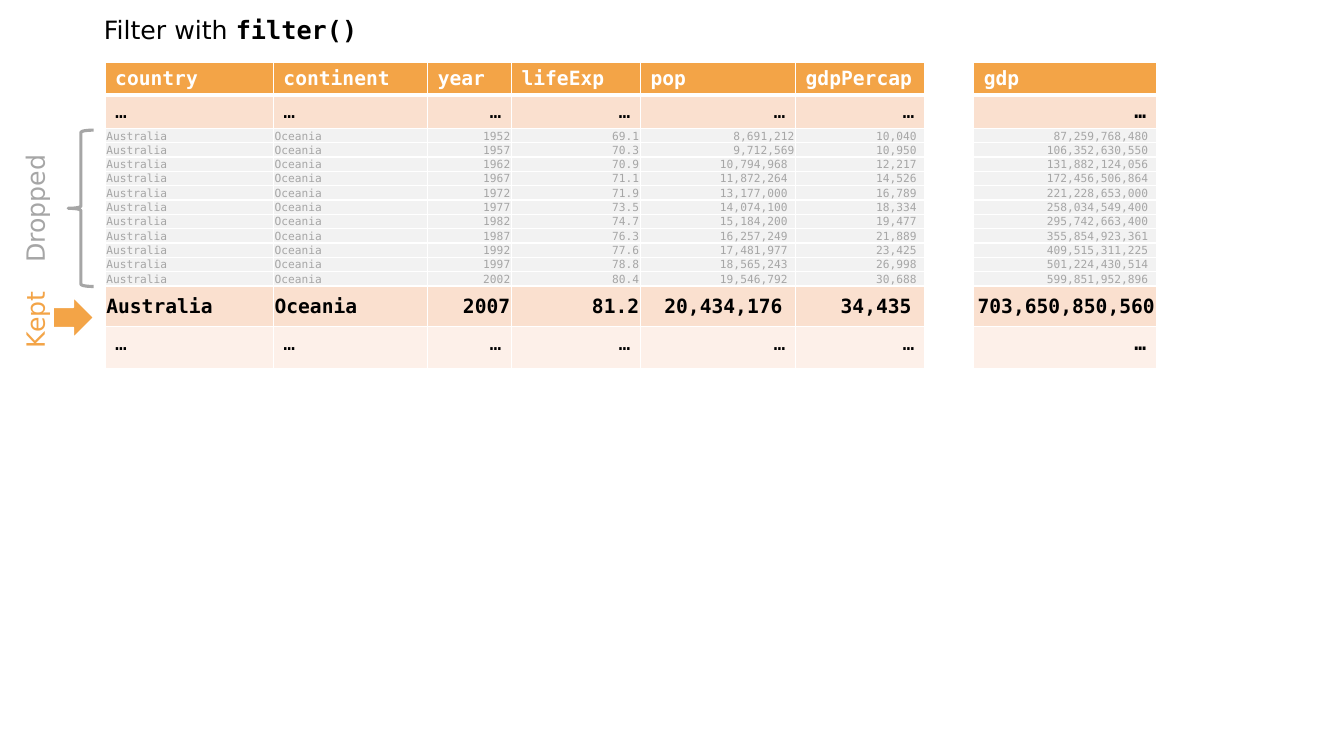
import pptx
import pptx.dml.color
import pptx.enum.shapes
import pptx.enum.text
import pptx.oxml
import pptx.oxml.ns
import pptx.util

Cm = pptx.util.Cm
Pt = pptx.util.Pt
SHAPE = pptx.enum.shapes.MSO_SHAPE
ALIGN = pptx.enum.text.PP_ALIGN
ANCHOR = pptx.enum.text.MSO_ANCHOR

SANS, MONO = "DejaVu Sans", "DejaVu Sans Mono"
COLORS = {
    "orange": "F3A447", "peach": "FAE0CF", "pale": "FDF0E9",
    "mist": "F2F2F2", "grey": "A6A6A6", "white": "FFFFFF", "black": "000000",
}
# Row styles: height in cm, fill, text colour, size, bold, anchor
STYLES = {
    "head": (0.84, "orange", "white", 14, True, ANCHOR.TOP),
    "more": (0.83, "peach", "black", 14, False, ANCHOR.TOP),
    "drop": (0.36, "mist", "grey", 8, False, ANCHOR.BOTTOM),
    "keep": (1.03, "peach", "black", 14, True, ANCHOR.MIDDLE),
    "rest": (1.04, "pale", "black", 14, False, ANCHOR.TOP),
}
KINDS = ["head", "more"] + ["drop"] * 11 + ["keep", "rest"]

# Year, life expectancy, population, GDP per head, GDP
FACTS = [
    ("1952", "69.1", "8,691,212", "10,040", "87,259,768,480"),
    ("1957", "70.3", "9,712,569", "10,950", "106,352,630,550"),
    ("1962", "70.9", "10,794,968", "12,217", "131,882,124,056"),
    ("1967", "71.1", "11,872,264", "14,526", "172,456,506,864"),
    ("1972", "71.9", "13,177,000", "16,789", "221,228,653,000"),
    ("1977", "73.5", "14,074,100", "18,334", "258,034,549,400"),
    ("1982", "74.7", "15,184,200", "19,477", "295,742,663,400"),
    ("1987", "76.3", "16,257,249", "21,889", "355,854,923,361"),
    ("1992", "77.6", "17,481,977", "23,425", "409,515,311,225"),
    ("1997", "78.8", "18,565,243", "26,998", "501,224,430,514"),
    ("2002", "80.4", "19,546,792", "30,688", "599,851,952,896"),
    ("2007", "81.2", "20,434,176", "34,435", "703,650,850,560"),
]
HEADS = ["country", "continent", "year", "lifeExp", "pop", "gdpPercap", "gdp"]
MORE = ["…"] * len(HEADS)
ROWS = [HEADS, MORE, *[["Australia", "Oceania", *fact] for fact in FACTS], MORE]
PADDED = {"pop", "gdpPercap", "gdp"}  # one character of space at the right
FLUSH = {"8,691,212", "9,712,569", "703,650,850,560"}


def color(name):
    return pptx.dml.color.RGBColor.from_string(COLORS[name])


def set_font(font, size, name, tint, bold=False):
    font.size, font.name, font.bold = Pt(size), name, bold
    font.color.rgb = color(tint)


def set_edges(cell, base):
    """White cell borders, with the given bottom width in points."""
    props = cell._tc.get_or_add_tcPr()
    for side, width in zip("LRTB", (1, 1, 1, base)):
        props.append(pptx.oxml.parse_xml(
            f'<a:ln{side} {pptx.oxml.ns.nsdecls("a")} w="{Pt(width)}"><a:solidFill>'
            f'<a:srgbClr val="{COLORS["white"]}"/></a:solidFill></a:ln{side}>'))


def fill_cell(cell, text, kind, head, bold):
    _, fill, tint, size, strong, anchor = STYLES[kind]
    set_edges(cell, 3 if kind == "head" else 1)
    cell.fill.solid()
    cell.fill.fore_color.rgb = color(fill)
    cell.vertical_anchor = anchor
    if kind in ("drop", "keep"):
        pad = head in PADDED and text not in FLUSH
        cell.margin_left = cell.margin_top = Cm(0.03)
        cell.margin_right = Cm(0.03) + (Pt(0.6 * size) if pad else 0)
        cell.margin_bottom = 0
    cell.text = text
    par = cell.text_frame.paragraphs[0]
    left = kind == "head" or head in ("country", "continent")
    par.alignment = ALIGN.LEFT if left else ALIGN.RIGHT
    set_font(par.font, size, MONO, tint, strong or (bold and kind != "drop"))


def add_grid(slide, left, top, widths, rows, bold=False):
    heights = [STYLES[kind][0] for kind in KINDS]
    table = slide.shapes.add_table(
        len(rows), len(widths), Cm(left), Cm(top),
        Cm(sum(widths)), Cm(sum(heights))).table
    table.first_row = table.horz_banding = False
    for col, width in zip(table.columns, widths):
        col.width = Cm(width)
    for r, (kind, row) in enumerate(zip(KINDS, rows)):
        table.rows[r].height = Cm(heights[r])
        for c, text in enumerate(row):
            fill_cell(table.cell(r, c), text, kind, rows[0][c], bold)


def add_box(slide, left, top, width, height):
    box = slide.shapes.add_textbox(Cm(left), Cm(top), Cm(width), Cm(height))
    box.text_frame.word_wrap = True
    return box


def add_title(slide, left, top, width, height):
    par = add_box(slide, left, top, width, height).text_frame.paragraphs[0]
    for text, face, bold in (("Filter with ", SANS, False), ("filter()", MONO, True)):
        run = par.add_run()
        run.text = text
        set_font(run.font, 18, face, "black", bold)


def add_label(slide, text, tint, x, y, length):
    """Upward text centred on the point x, y."""
    deep = 1.03
    box = add_box(slide, x - length / 2, y - deep / 2, length, deep)
    box.rotation = 270
    par = box.text_frame.paragraphs[0]
    par.text = text
    par.alignment = ALIGN.CENTER
    set_font(par.font, 18, SANS, tint)


def add_mark(slide, shape, left, top, width, height, fill, line, weight):
    mark = slide.shapes.add_shape(shape, Cm(left), Cm(top), Cm(width), Cm(height))
    mark.shadow.inherit = False
    if fill:
        mark.fill.solid()
        mark.fill.fore_color.rgb = color(fill)
    else:
        mark.fill.background()
    mark.line.color.rgb = color(line)
    mark.line.width = Pt(weight)


def add_side(slide, left, top):
    """Labels and marks beside the table; right edge of marks 1.47 cm on."""
    add_mark(slide, SHAPE.RIGHT_ARROW, left + 0.45, top + 4.21, 1.02, 1.02,
             "orange", "white", 1)
    add_mark(slide, SHAPE.LEFT_BRACE, left + 0.83, top, 0.64, 3.94,
             None, "grey", 2.25)
    add_label(slide, "Dropped", "grey", left, top + 1.98, 6.35)
    add_label(slide, "Kept", "orange", left, top + 4.78, 3.05)


def main():
    deck = pptx.Presentation()
    deck.slide_width, deck.slide_height = Cm(33.87), Cm(19.05)
    slide = deck.slides.add_slide(deck.slide_layouts[6])
    # Tables
    add_grid(slide, 2.65, 1.56, [4.24, 3.89, 2.11, 3.25, 3.91, 3.25],
             [row[:6] for row in ROWS])
    add_grid(slide, 24.54, 1.56, [4.6], [row[6:] for row in ROWS], bold=True)
    # Title and side marks
    add_title(slide, 2.37, 0.23, 14.22, 1.03)
    add_side(slide, 0.89, 3.28)
    deck.save("out.pptx")


if __name__ == "__main__":
    main()
